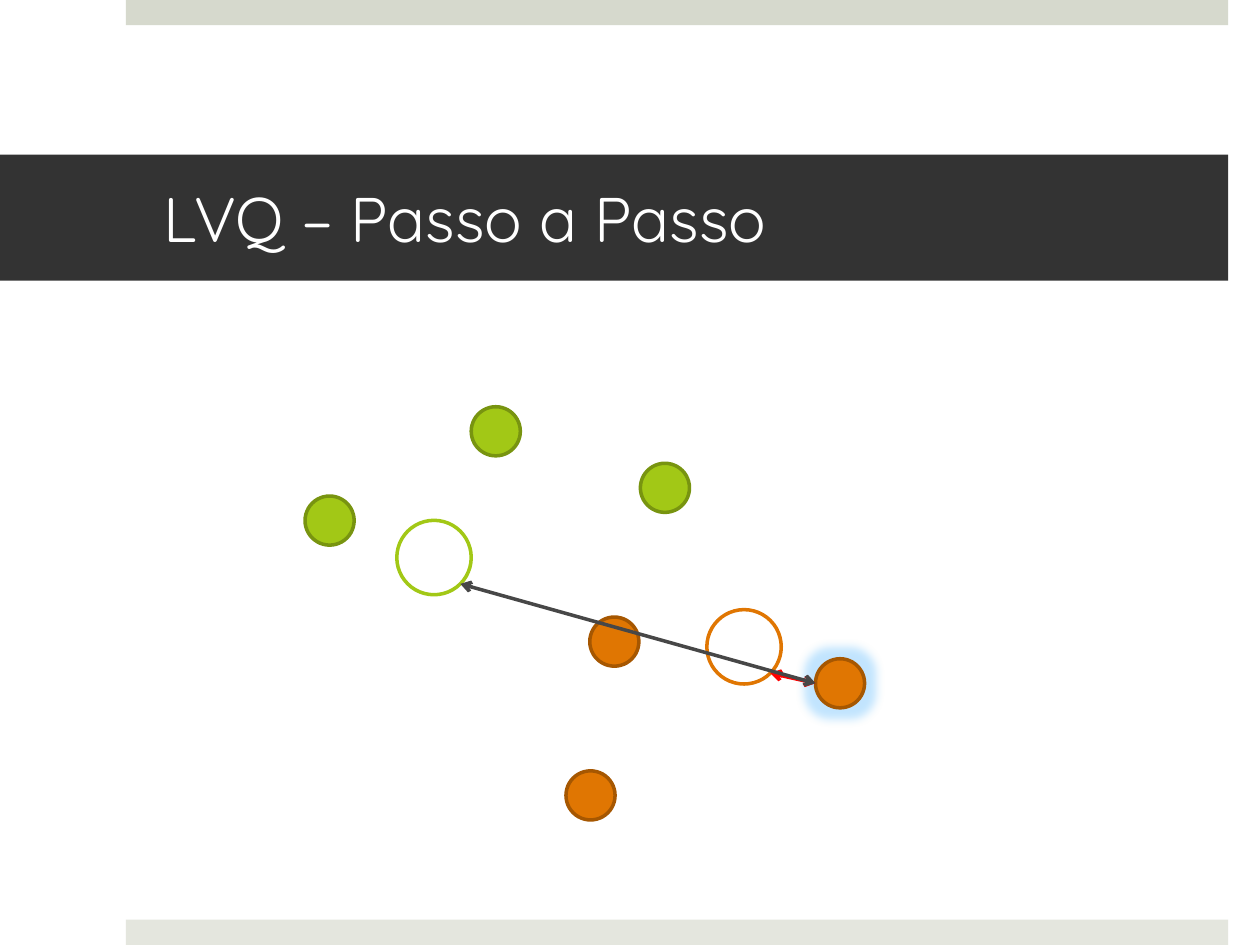
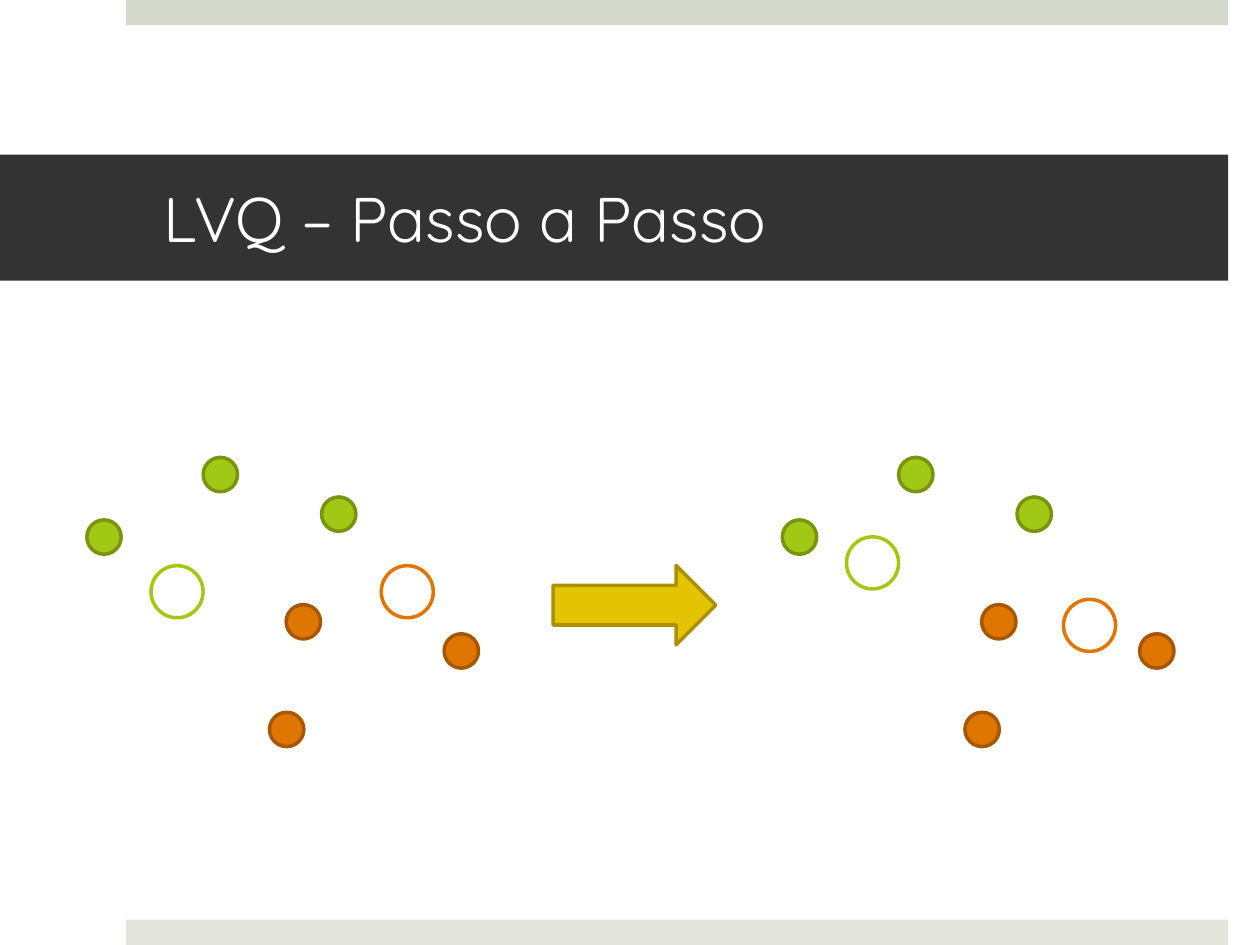
from dataclasses import dataclass
import math

from lxml import etree
from pptx import Presentation
from pptx.dml.color import RGBColor
from pptx.enum import shapes, text
from pptx.oxml import ns
from pptx import util as u

# Content: offsets in cm from the top left of a full-size cluster
TITLE = "LVQ – Passo a Passo"
SAMPLES = [
    ("orange", 5.74, 4.24),
    ("green", 0, 1.8),
    ("green", 3.35, 0),
    ("orange", 5.26, 7.34),
    ("green", 6.76, 1.14),
    ("orange", 10.29, 5.08),
]
START = [("green", 1.85, 3.12), ("orange", 8.48, 3.12)]
MOVED = [("green", 1.85, 2.29), ("orange", 8.1, 4.09)]
CHOSEN = 5  # sample whose distances are measured
DISTANCES = [(1, "near"), (0, "far")]  # prototype, line colour

SAMPLE_SIZE, PROTOTYPE_SIZE = 0.99, 1.5
LARGE = dict(left=6.15, top=8.2, scale=1)
BEFORE = dict(left=1.75, top=9.22, scale=0.7)
AFTER = dict(BEFORE, left=15.77)
STEP_ARROW = (11.15, 11.4, 3.28, 1.6)
BANDS = [("top_band", (2.54, 0, 22.22, 0.51)),
         ("bottom_band", (2.54, 18.54, 22.22, 0.51))]
TITLE_BOX = (0, 3.12, 24.76, 2.54)


@dataclass(frozen=True)
class Theme:
    """Colours, font and sizes shared by the slides."""
    colours = dict(
        white="FFFFFF", title="333333", top_band="D6D9CD", bottom_band="E4E6DE",
        green="A2C816", green_edge="789410", orange="E07602", orange_edge="A65701",
        yellow="E4C402", yellow_edge="A99101", near="FF0000", far="474747",
        glow="66BEFF")
    font = "Quicksand"
    title_size = u.Pt(36)
    line_width = u.Pt(2)
    glow_radius = u.Pt(11)

    def rgb(self, name):
        """Return a named colour."""
        return RGBColor.from_string(self.colours[name])


THEME = Theme()


def assign(target, **values):
    """Set several attributes of one object."""
    for name, value in values.items():
        setattr(target, name, value)


def add_box(parent, kind, box, fill, edge=None):
    """Add a filled preset shape, outlined when an edge colour is given."""
    sp = parent.add_shape(kind, *map(u.Cm, box))
    sp.shadow.inherit = False
    sp.fill.solid()
    sp.fill.fore_color.rgb = THEME.rgb(fill)
    if edge:
        sp.line.color.rgb = THEME.rgb(edge)
        sp.line.width = THEME.line_width
    else:
        sp.line.fill.background()
    return sp


def add_glow(sp):
    """Put a soft halo round a shape."""
    effects = sp._element.spPr.find(ns.qn("a:effectLst"))
    glow = etree.SubElement(effects, ns.qn("a:glow"), rad=str(THEME.glow_radius))
    colour = etree.SubElement(glow, ns.qn("a:srgbClr"), val=THEME.colours["glow"])
    etree.SubElement(colour, ns.qn("a:alpha"), val="40000")


def add_distance(parent, start, end, colour):
    """Add a line with an arrowhead at both ends."""
    line = parent.add_connector(shapes.MSO_CONNECTOR.STRAIGHT,
                                *map(u.Cm, start + end))
    line.line.color.rgb = THEME.rgb(colour)
    line.line.width = THEME.line_width
    for tag in ("a:headEnd", "a:tailEnd"):
        etree.SubElement(line.line._get_or_add_ln(), ns.qn(tag), type="arrow")
    etree.SubElement(line._element.spPr, ns.qn("a:effectLst"))


def place(offset, left, top, scale):
    """Turn a cluster offset into a slide position."""
    return left + offset[0] * scale, top + offset[1] * scale


def add_cluster(parent, prototypes, frame):
    """Draw samples, then prototypes; return the sample shapes."""
    def circle(offset, size, fill, edge):
        side = size * frame["scale"]
        return add_box(parent, shapes.MSO_SHAPE.OVAL,
                       (*place(offset, **frame), side, side), fill, edge)

    drawn = [circle(at, SAMPLE_SIZE, name, name + "_edge") for name, *at in SAMPLES]
    for name, *at in prototypes:
        circle(at, PROTOTYPE_SIZE, "white", name)
    return drawn


def add_distances(parent, prototypes, frame):
    """Join each prototype's lower right rim to the chosen sample's left."""
    _, x, y = SAMPLES[CHOSEN]
    end = place((x, y + SAMPLE_SIZE / 2), **frame)
    rim = PROTOTYPE_SIZE / 2 * (1 + math.sqrt(0.5))
    for index, colour in DISTANCES:
        _, x, y = prototypes[index]
        add_distance(parent, place((x + rim, y + rim), **frame), end, colour)


def add_slide(prs):
    """Add a blank slide with the bands and the title."""
    slide = prs.slides.add_slide(prs.slide_layouts[6])
    for colour, box in BANDS:
        add_box(slide.shapes, shapes.MSO_SHAPE.RECTANGLE, box, colour)
    sp = add_box(slide.shapes, shapes.MSO_SHAPE.RECTANGLE, TITLE_BOX, "title")
    tf = sp.text_frame
    assign(tf, word_wrap=True, vertical_anchor=text.MSO_ANCHOR.MIDDLE,
           margin_left=u.Cm(3.3), margin_right=u.Cm(0.76),
           margin_top=u.Cm(0.13), margin_bottom=u.Cm(0.13))
    p = tf.paragraphs[0]
    p.alignment = text.PP_ALIGN.LEFT
    r = p.add_run()
    r.text = TITLE
    assign(r.font, name=THEME.font, size=THEME.title_size)
    r.font.color.rgb = THEME.rgb("white")
    return slide


def build_distances(prs):
    """Slide 1: distances from one sample to both prototypes."""
    sps = add_slide(prs).shapes
    samples = add_cluster(sps, MOVED, LARGE)
    add_glow(samples[CHOSEN])
    add_distances(sps, MOVED, LARGE)


def build_update(prs):
    """Slide 2: prototypes before and after training."""
    sps = add_slide(prs).shapes
    for prototypes, frame in ((MOVED, AFTER), (START, BEFORE)):
        add_cluster(sps.add_group_shape().shapes, prototypes, frame)
    add_box(sps, shapes.MSO_SHAPE.RIGHT_ARROW, STEP_ARROW, "yellow", "yellow_edge")


def main():
    """Build and save the presentation."""
    prs = Presentation()
    assign(prs, slide_width=u.Cm(25.4), slide_height=u.Cm(19.05))
    build_distances(prs)
    build_update(prs)
    prs.save("out.pptx")


main()
